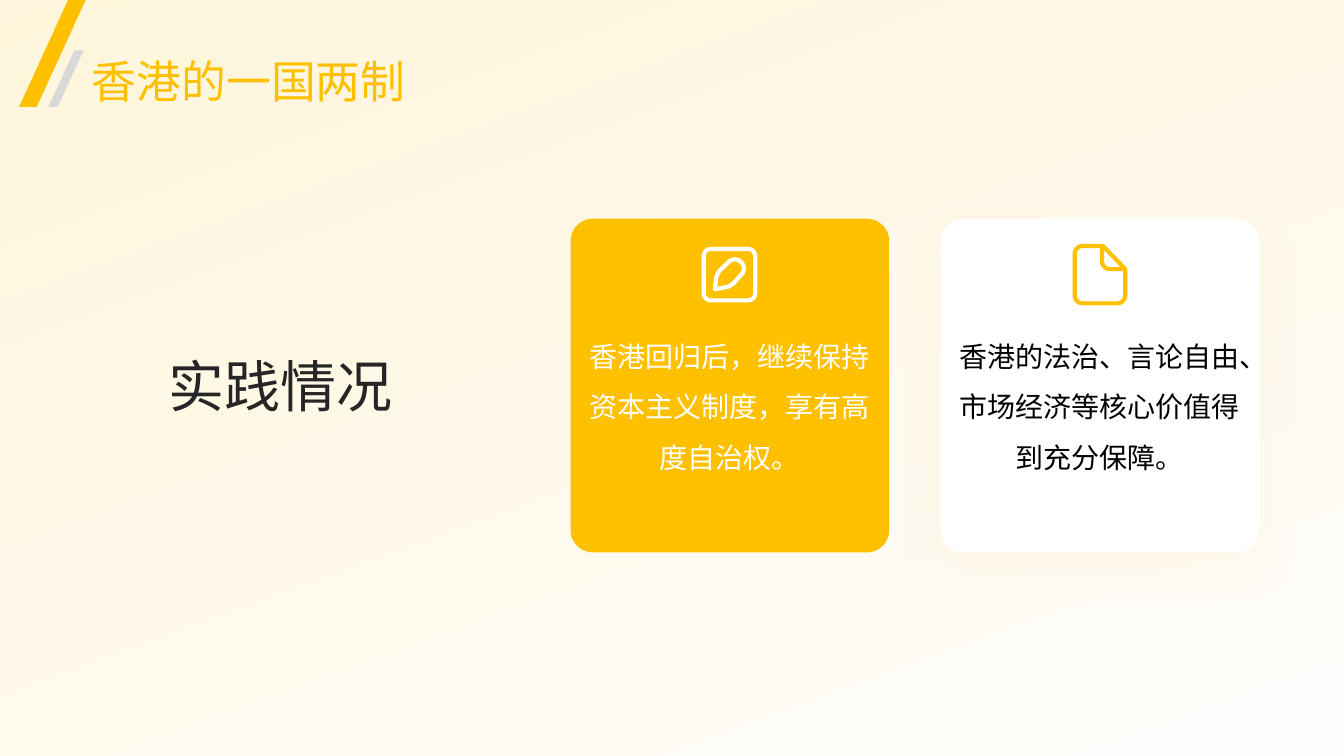
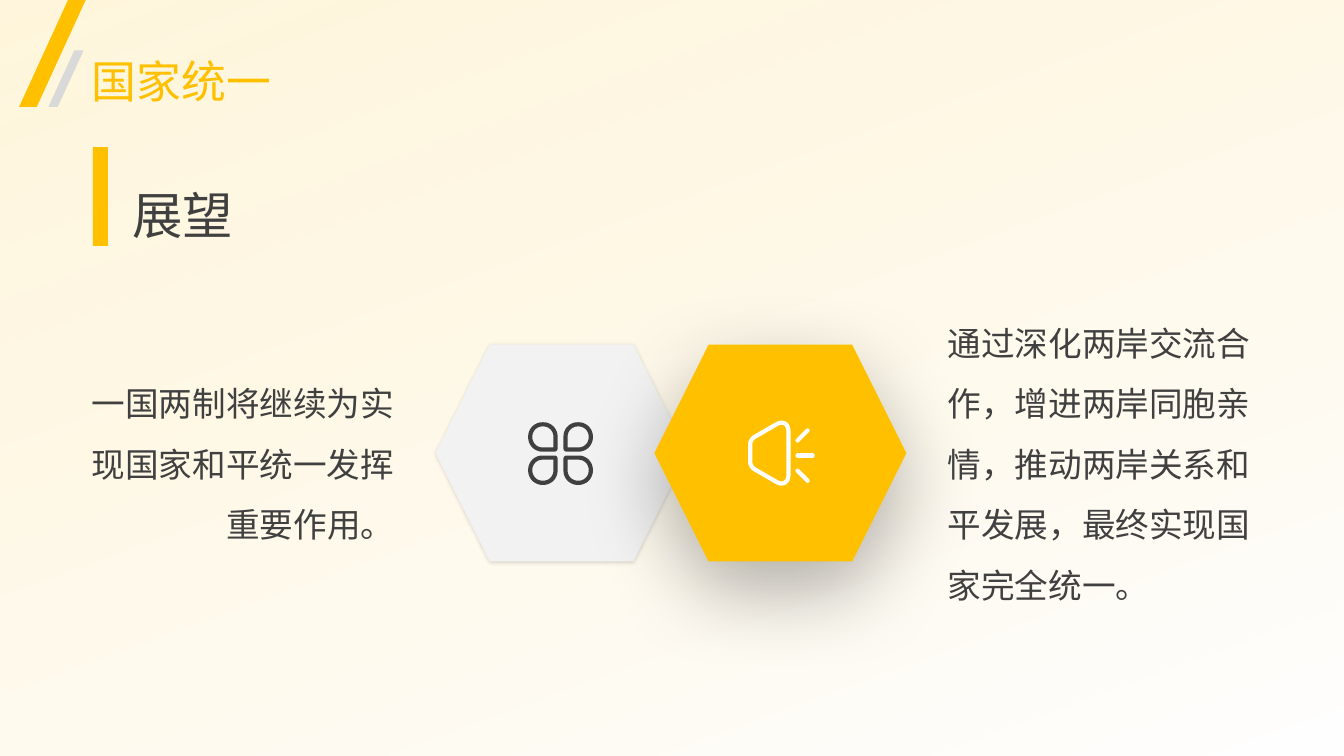
from dataclasses import dataclass
from math import dist

from lxml.etree import SubElement
from pptx import Presentation
from pptx.dml.color import RGBColor
from pptx.enum.shapes import MSO_SHAPE as Shape
from pptx.enum.text import MSO_ANCHOR as Anchor, PP_ALIGN as Align
from pptx.oxml.ns import qn
from pptx.util import Pt

EMU_PER_PX = 9144
EMU_PER_PT = 12700


@dataclass(frozen=True)
class Theme:
    font: str = "Noto Sans CJK SC"
    gold: str = "FFC000"
    cream: str = "FFF2CC"
    glow: str = "FFE699"
    white: str = "FFFFFF"
    black: str = "000000"
    ink: str = "262626"
    gray: str = "404040"
    silver: str = "D9D9D9"
    pale: str = "F2F2F2"
    title: int = 32
    topic: int = 40
    heading: int = 36
    card: int = 20
    body: int = 24
    stroke: int = 3


THEME = Theme()
CARD_SHADOW = {"color": THEME.glow, "opacity": 15, "blur": 30, "distance": 10}
SOFT_SHADOW = {"color": THEME.black, "opacity": 15, "blur": 3, "distance": 1}
DEEP_SHADOW = {"color": THEME.black, "opacity": 30, "blur": 60, "distance": 20}


def px(length):
    return round(length * EMU_PER_PX)


def rgb(color):
    return RGBColor.from_string(color)


def set_all(target, values):
    for name, value in values.items():
        setattr(target, name, value)


def set_opacity(color_element, percent):
    SubElement(color_element, qn("a:alpha"), val=str(percent * 1000))


def add_shadow(shape, color, opacity, blur, distance):
    effects = shape._element.spPr.find(qn("a:effectLst"))
    outer = SubElement(
        effects, qn("a:outerShdw"), blurRad=str(blur * EMU_PER_PT),
        dist=str(distance * EMU_PER_PT), dir="5400000", algn="t", rotWithShape="0")
    set_opacity(SubElement(outer, qn("a:srgbClr"), val=color), opacity)


def add_block(slide, kind, box, color, adjustment=None, shadow=None):
    shape = slide.shapes.add_shape(kind, *map(px, box))
    shape.fill.solid()
    shape.fill.fore_color.rgb = rgb(color)
    shape.line.fill.background()
    shape.shadow.inherit = False
    if adjustment is not None:
        shape.adjustments[0] = adjustment
    if shadow:
        add_shadow(shape, **shadow)
    return shape


def add_text(slide, box, text, size, color, align=Align.LEFT,
             anchor=Anchor.MIDDLE, spacing=1.5, inset=0):
    frame = slide.shapes.add_textbox(*map(px, box)).text_frame
    set_all(frame, {
        "word_wrap": True, "vertical_anchor": anchor,
        "margin_left": 0, "margin_right": 0,
        "margin_top": px(inset), "margin_bottom": px(inset)})
    paragraph = frame.paragraphs[0]
    set_all(paragraph, {"alignment": align, "line_spacing": spacing})
    run = paragraph.add_run()
    run.text = text
    run.font.color.rgb = rgb(color)
    set_all(run.font, {"size": Pt(size), "name": THEME.font})
    SubElement(run.font._element, qn("a:ea"), typeface=THEME.font)


def toward(start, end, share):
    return tuple(a + (b - a) * share for a, b in zip(start, end))


def corner_curve(before, corner, after, radius, steps=12):
    start = toward(corner, before, radius / dist(corner, before))
    end = toward(corner, after, radius / dist(corner, after))
    controls = (start, toward(start, corner, 0.55), toward(end, corner, 0.55), end)
    for step in range(steps + 1):
        points = controls
        while len(points) > 1:
            points = [toward(a, b, step / steps) for a, b in zip(points, points[1:])]
        yield points[0]


def round_corners(corners, closed):
    points = []
    for index, (x, y, radius) in enumerate(corners):
        if radius:
            before = corners[index - 1][:2]
            after = corners[(index + 1) % len(corners)][:2]
            points.extend(corner_curve(before, (x, y), after, radius))
        else:
            points.append((x, y))
    return [(px(x), px(y)) for x, y in points], closed


def add_icon(slide, color, outlines, strokes=()):
    contours = [round_corners(corners, True) for corners in outlines]
    contours += [round_corners(corners, False) for corners in strokes]
    builder = slide.shapes.build_freeform(*contours[0][0][0], scale=1.0)
    for index, (points, closed) in enumerate(contours):
        if index:
            builder.move_to(*points[0])
        builder.add_line_segments(points[1:], close=closed)
    icon = builder.convert_to_shape()
    icon.fill.background()
    icon.line.color.rgb = rgb(color)
    icon.line.width = Pt(THEME.stroke)
    icon.shadow.inherit = False
    outline = icon._element.spPr.find(qn("a:ln"))
    outline.set("cap", "rnd")
    SubElement(outline, qn("a:round"))


def add_pen_icon(slide):
    frame = [(698, 247, 7), (749, 247, 7), (749, 298, 7), (698, 298, 7)]
    pen = [(709, 287, 1), (711, 271, 5), (729, 254, 8), (741, 266, 8), (725, 284, 5)]
    add_icon(slide, THEME.white, [frame, pen])


def add_document_icon(slide):
    sheet = [(1066, 244, 8), (1094, 244, 1), (1116, 267, 1),
             (1116, 301, 8), (1066, 301, 8)]
    fold = [(1093, 244, 0), (1093, 267, 8), (1116, 267, 0)]
    add_icon(slide, THEME.gold, [sheet], [fold])


def add_clover_icon(slide):
    petals = []
    for side_x in (-1, 1):
        for side_y in (-1, 1):
            inner_x, inner_y = 556 + 5 * side_x, 450 + 4 * side_y
            outer_x, outer_y = inner_x + 25 * side_x, inner_y + 25 * side_y
            petals.append([(inner_x, inner_y, 1), (outer_x, inner_y, 12),
                           (outer_x, outer_y, 12), (inner_x, outer_y, 12)])
    add_icon(slide, THEME.gray, petals)


def add_megaphone_icon(slide):
    horn = [(744, 436, 5), (782, 414, 14), (782, 485, 14), (744, 463, 5)]
    rays = [[(791, 437, 0), (801, 427, 0)],
            [(791, 452, 0), (806, 452, 0)],
            [(791, 467, 0), (801, 477, 0)]]
    add_icon(slide, THEME.white, [horn], rays)


def add_background(slide):
    panel = add_block(slide, Shape.RECTANGLE, (0, 0, 1333, 750), THEME.cream)
    panel.fill.gradient()
    panel.fill.gradient_angle = 290
    stops = ((0, THEME.cream), (1, THEME.white))
    for stop, (position, color) in zip(panel.fill.gradient_stops, stops):
        stop.position = position
        stop.color.rgb = rgb(color)
    colors = panel._element.spPr.iter(qn("a:srgbClr"))
    for color, opacity in zip(list(colors), (67, 92)):
        set_opacity(color, opacity)


def add_base_slide(presentation, title):
    slide = presentation.slides.add_slide(presentation.slide_layouts[6])
    add_background(slide)
    add_text(slide, (91, 52, 1168, 51), title, THEME.title, THEME.gold, spacing=1.1)
    for box, color in (((19, 0, 66, 106), THEME.gold), ((48, 50, 35, 56), THEME.silver)):
        add_block(slide, Shape.PARALLELOGRAM, box, color, 0.735)
    return slide


def add_card(slide, left, fill, color, text, shadow=None):
    add_block(slide, Shape.ROUNDED_RECTANGLE, (left, 217, 316, 331), fill, 0.07, shadow)
    add_text(slide, (left + 17, 320, 281, 210), text, THEME.card, color,
             Align.CENTER, Anchor.TOP)


def build_practice_slide(presentation):
    slide = add_base_slide(presentation, "香港的一国两制")
    add_text(slide, (167, 200, 438, 331), "实践情况", THEME.topic, THEME.ink)
    add_card(slide, 566, THEME.gold, THEME.white,
             "香港回归后，继续保持资本主义制度，享有高度自治权。")
    add_card(slide, 933, THEME.white, THEME.black,
             "香港的法治、言论自由、市场经济等核心价值得到充分保障。", CARD_SHADOW)
    add_pen_icon(slide)
    add_document_icon(slide)


def build_outlook_slide(presentation):
    slide = add_base_slide(presentation, "国家统一")
    add_block(slide, Shape.RECTANGLE, (92, 146, 15, 98), THEME.gold)
    add_text(slide, (131, 137, 1044, 91 + 30), "展望", THEME.heading, THEME.gray)
    add_block(slide, Shape.HEXAGON, (432, 342, 250, 215), THEME.pale, shadow=SOFT_SHADOW)
    add_clover_icon(slide)
    add_block(slide, Shape.HEXAGON, (649, 342, 250, 215), THEME.gold, shadow=DEEP_SHADOW)
    add_megaphone_icon(slide)
    statements = (
        (81, 310, Align.RIGHT, "一国两制将继续为实现国家和平统一发挥重要作用。"),
        (940, 314, Align.LEFT,
         "通过深化两岸交流合作，增进两岸同胞亲情，推动两岸关系和平发展，最终实现国家完全统一。"))
    for left, width, align, text in statements:
        add_text(slide, (left, 332, width, 236), text, THEME.body, THEME.gray,
                 align, inset=4)


def main():
    presentation = Presentation()
    set_all(presentation, {"slide_width": px(1333), "slide_height": px(750)})
    build_practice_slide(presentation)
    build_outlook_slide(presentation)
    presentation.save("out.pptx")


if __name__ == "__main__":
    main()
